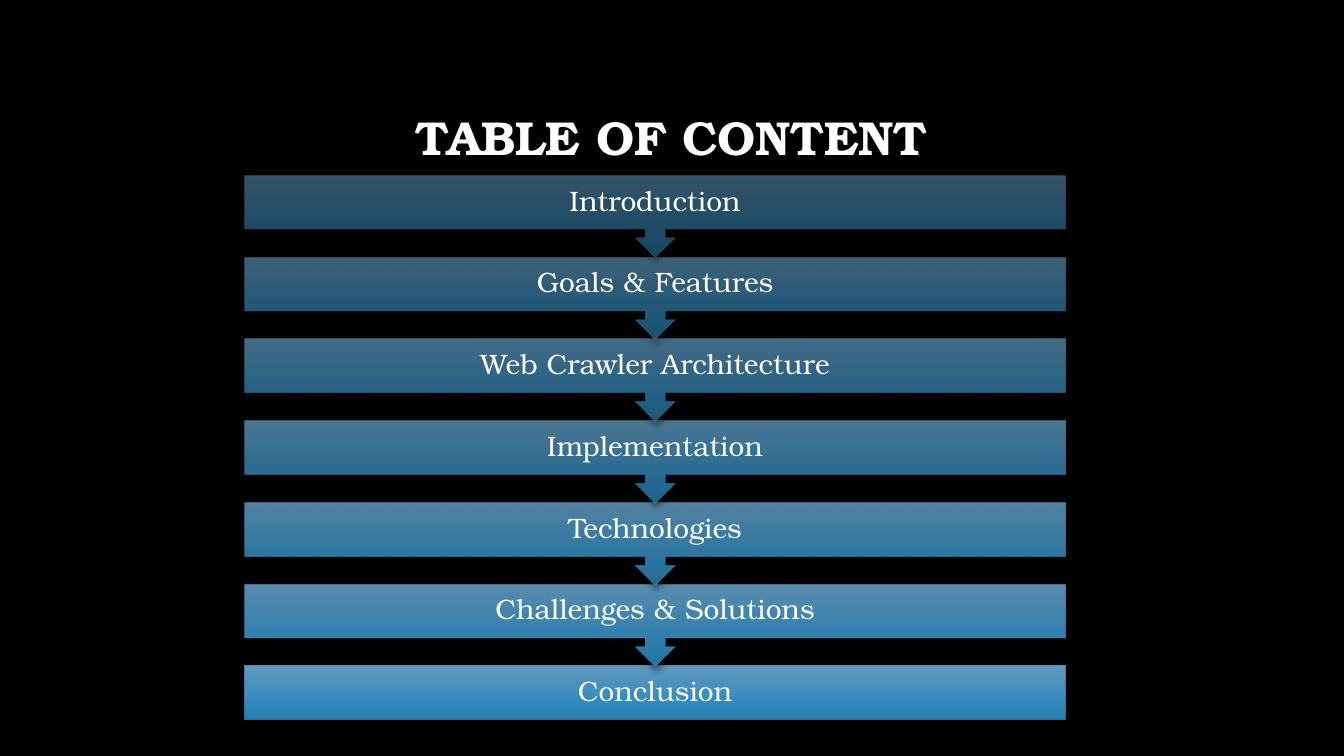
import pptx
import pptx.dml.color
import pptx.enum.shapes
import pptx.enum.text
import pptx.oxml
import pptx.oxml.ns
import pptx.util

Cm = pptx.util.Cm
FONT = "TeX Gyre Bonum"
DRAWING = pptx.oxml.ns.nsdecls("a")
STOPS = [(0, "6DAAD2"), (69, "3799D2"), (100, "2F8CC2")]
TOPICS = ["Introduction", "Goals & Features", "Web Crawler Architecture", "Implementation",
          "Technologies", "Challenges & Solutions", "Conclusion"]


def color(code):
    return pptx.dml.color.RGBColor.from_string(code)


def write_centered(box, text, size, bold):
    frame = box.text_frame
    frame.word_wrap = True
    frame.vertical_anchor = pptx.enum.text.MSO_ANCHOR.MIDDLE
    para = frame.paragraphs[0]
    para.alignment = pptx.enum.text.PP_ALIGN.CENTER
    para.line_spacing = 0.9
    span = para.add_run()
    span.text = text
    formats = {"name": FONT, "size": pptx.util.Pt(size), "bold": bold}
    for key, value in formats.items():
        setattr(span.font, key, value)
    span.font.color.rgb = color("FFFFFF")


# Deck and black page
deck = pptx.Presentation()
deck.slide_width, deck.slide_height = Cm(33.87), Cm(19.05)
page = deck.slides.add_slide(deck.slide_layouts[5])
page.background.fill.solid()
page.background.fill.fore_color.rgb = color("000000")

# Title
title = page.shapes.title
title_place = {"left": 2.54, "top": 1.7, "width": 28.75, "height": 3.68}
for key, value in title_place.items():
    setattr(title, key, Cm(value))
write_centered(title, "TABLE OF CONTENT", 34, True)

# Chain of topics, built from the bottom up so each arrow overlaps the next bar
left, top, width = 6.17, 4.42, 20.68
pitch, bar_height, callout_height = 2.06, 1.35, 2.08
last = len(TOPICS) - 1
chain = page.shapes.add_group_shape()
kinds = pptx.enum.shapes.MSO_SHAPE

for index in range(last, -1, -1):
    is_last = index == last
    place = Cm(left), Cm(top + index * pitch), Cm(width)

    # Bar, with a downward arrow on all but the last
    kind = kinds.RECTANGLE if is_last else kinds.UP_ARROW_CALLOUT
    bar = chain.shapes.add_shape(kind, *place, Cm(bar_height if is_last else callout_height))
    bar.rotation = 0 if is_last else 180
    bar.line.fill.background()

    # Blue gradient that grows more opaque down the chain
    opacity = round((50 + 40 * index / last) * 1000)
    stops = "".join(
        f'<a:gs pos="{position * 1000}"><a:srgbClr val="{code}">'
        f'<a:alpha val="{opacity}"/></a:srgbClr></a:gs>' for position, code in STOPS)
    bar.fill.gradient()
    properties = bar._element.spPr
    properties.replace(
        properties.find(pptx.oxml.ns.qn("a:gradFill")),
        pptx.oxml.parse_xml(
            f'<a:gradFill {DRAWING} rotWithShape="0"><a:gsLst>{stops}</a:gsLst>'
            '<a:lin ang="5400000" scaled="0"/></a:gradFill>'))

    # Soft shadow below
    bar.shadow.inherit = False
    properties.find(pptx.oxml.ns.qn("a:effectLst")).append(pptx.oxml.parse_xml(
        f'<a:outerShdw {DRAWING} blurRad="50800" dist="38100" dir="5400000" rotWithShape="0">'
        '<a:srgbClr val="000000"><a:alpha val="54000"/></a:srgbClr></a:outerShdw>'))

    # Upright label over the bar
    label = chain.shapes.add_textbox(*place, Cm(bar_height))
    for side in ("left", "top", "right", "bottom"):
        setattr(label.text_frame, f"margin_{side}", Cm(0.4))
    write_centered(label, TOPICS[index], 20, False)

deck.save("out.pptx")
